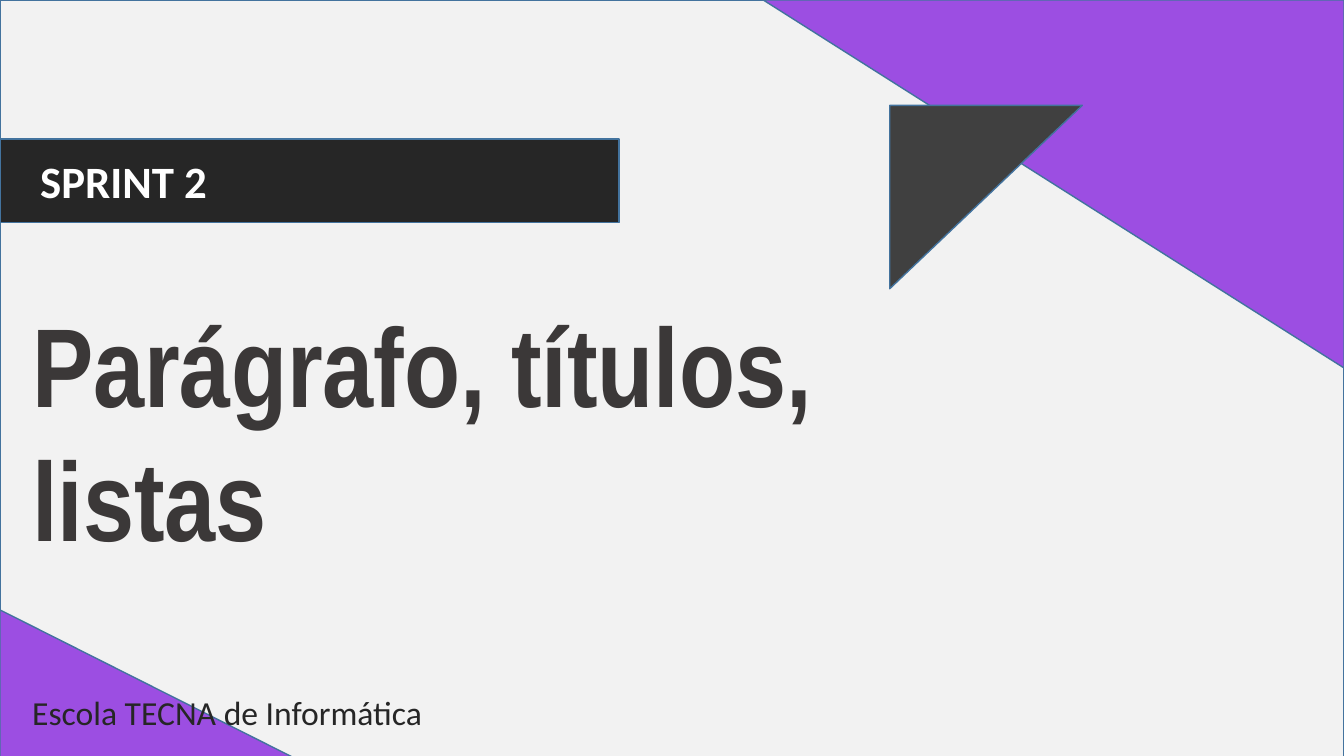
from pptx import Presentation
from pptx.dml.color import RGBColor
from pptx.enum.shapes import MSO_SHAPE as Preset
from pptx.enum.text import MSO_AUTO_SIZE as AutoSize
from pptx.util import Inches, Pt

COLORS = {
    "paper": "F2F2F2",
    "purple": "9C4EE2",
    "gray": "404040",
    "black": "262626",
    "title": "3B3838",
    "white": "FFFFFF",
    "outline": "43739E",
}

# Boxes are left, top, width, height in percent of the slide.
PANELS = [
    (Preset.RECTANGLE, (0, 0, 100, 100.93), 0, "paper"),
    (Preset.RIGHT_TRIANGLE, (0, 80.67, 22.5, 20.13), 0, "purple"),
    (Preset.RIGHT_TRIANGLE, (56.79, 0, 43.21, 48.67), 180, "purple"),
    (Preset.RIGHT_TRIANGLE, (66.54, 13.33, 13.65, 25.47), 90, "gray"),
    (Preset.RECTANGLE, (0, 18.4, 46.06, 11.07), 0, "black"),
]

TEXTS = [
    ("SPRINT 2", (2.25, 19.73, 42.76, 8.53),
     dict(size=32, font="Calibri", color="white", bold=True)),
    ("Escola TECNA de Informática", (1.65, 90.8, 34.43, 6.67),
     dict(size=24, font="Calibri", color="black")),
    ("Parágrafo, títulos, listas", (1.65, 38.4, 63.92, 37.2),
     dict(size=80, font="Arial Narrow", color="title", bold=True)),
]

presentation = Presentation()
presentation.slide_width = Inches(13.33)
presentation.slide_height = Inches(7.5)
slide = presentation.slides.add_slide(presentation.slide_layouts[6])


def place(box):
    sides = (presentation.slide_width, presentation.slide_height) * 2
    return [round(side * share / 100) for side, share in zip(sides, box)]


def rgb(name):
    return RGBColor.from_string(COLORS[name])


def add_panel(preset, box, rotation, color):
    shape = slide.shapes.add_shape(preset, *place(box))
    shape.rotation = rotation
    shape.shadow.inherit = False
    shape.fill.solid()
    shape.fill.fore_color.rgb = rgb(color)
    shape.line.color.rgb = rgb("outline")
    shape.line.width = Pt(1)


def add_text(text, box, *, size, font, color, bold=False):
    frame = slide.shapes.add_textbox(*place(box)).text_frame
    frame.word_wrap = True
    frame.auto_size = AutoSize.SHAPE_TO_FIT_TEXT
    run = frame.paragraphs[0].add_run()
    run.text = text
    run.font.size = Pt(size)
    run.font.name = font
    run.font.bold = bold
    run.font.color.rgb = rgb(color)


for panel in PANELS:
    add_panel(*panel)
for text, box, style in TEXTS:
    add_text(text, box, **style)

presentation.save("out.pptx")
